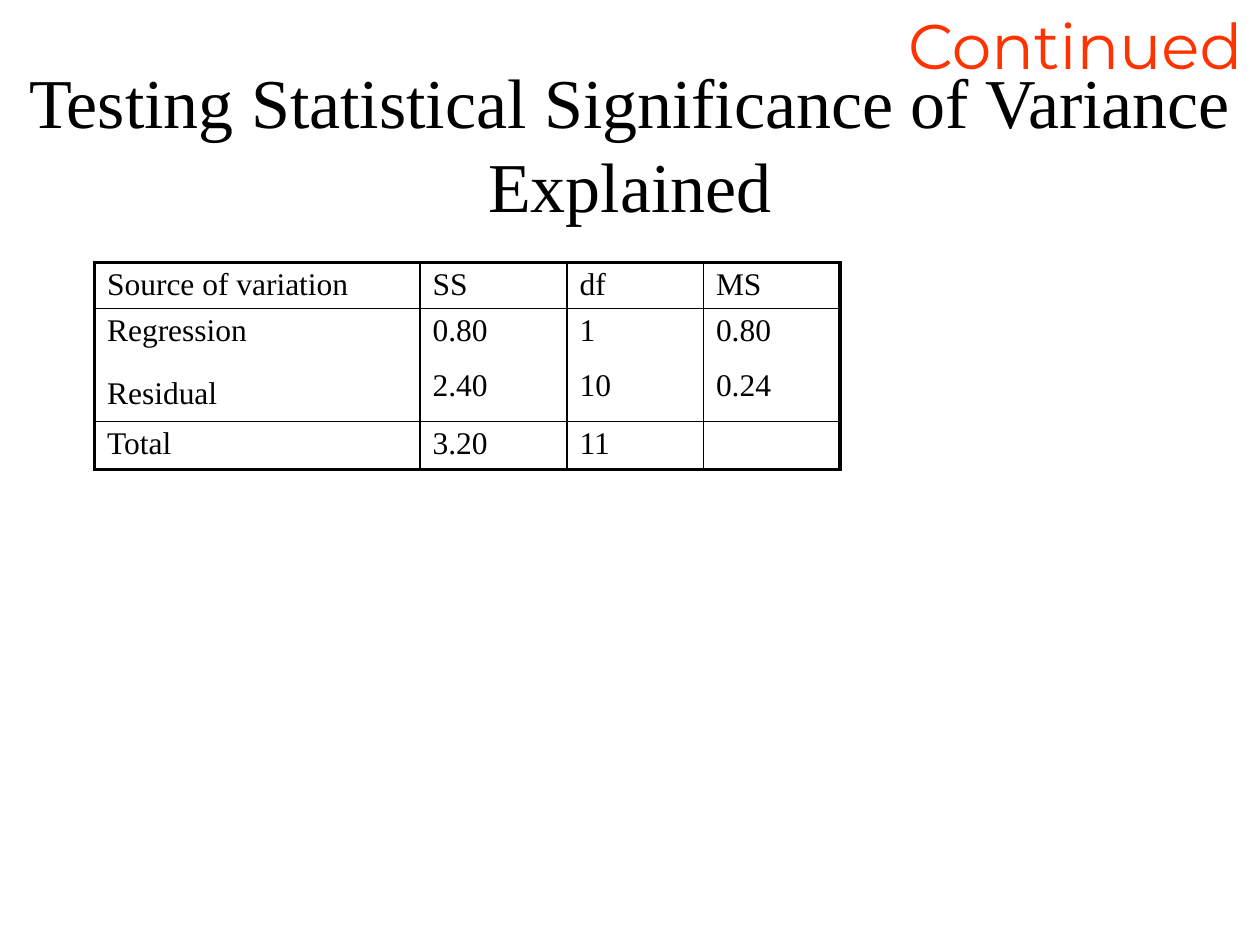
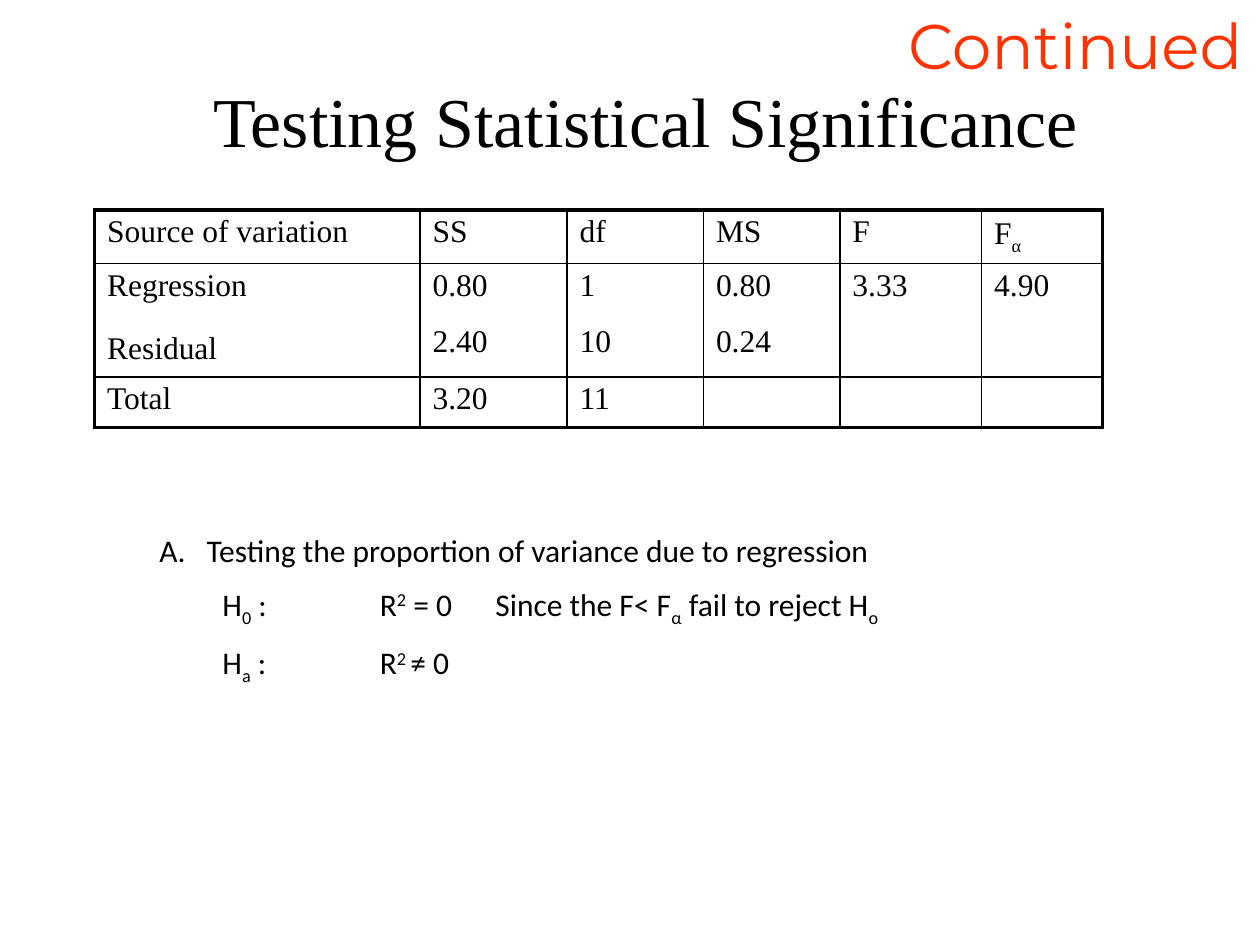
import pptx
import pptx.util
import pptx.dml.color
import pptx.enum.text
import pptx.oxml
import pptx.oxml.ns
from lxml import etree

# Shared look: a grid of 120 columns by 90 rows, inks and fonts
COLUMNS, ROWS = 120, 90
SLIDE_WIDTH, SLIDE_HEIGHT = pptx.util.Inches(10), pptx.util.Inches(7.5)
INK, ACCENT = "000000", "FF3300"
SERIF, SANS, DISPLAY = "Times New Roman", "Calibri", "Montserrat"
CENTER = pptx.enum.text.PP_ALIGN.CENTER
OUTER_LINE, INNER_LINE = 2.25, 1

# Table layout in grid units
COLUMN_WIDTHS = [31, 14, 13, 13, 13.5, 11.5]
ROW_HEIGHTS = [4.3, 6, 4.8, 4.4]
VARIANCE_HEAD = ["Source of variation", "SS", "df", "MS"]
VARIANCE_VALUES = [["0.80", "2.40"], ["1", "10"], ["0.80", "0.24"]]
TOTALS = ["Total", "3.20", "11"]


def color(hex_string):
    return pptx.dml.color.RGBColor.from_string(hex_string)


def across(columns):
    return int(SLIDE_WIDTH * columns / COLUMNS)


def down(rows):
    return int(SLIDE_HEIGHT * rows / ROWS)


def place(box):
    left, top, width, height = box
    return across(left), down(top), across(width), down(height)


def sub_element(parent, tag, **attributes):
    return etree.SubElement(parent, pptx.oxml.ns.qn(tag), **attributes)


def style(paragraph, font_name, size, ink=INK):
    paragraph.font.name = font_name
    paragraph.font.size = pptx.util.Pt(size)
    paragraph.font.color.rgb = color(ink)


def write(paragraph, pieces):
    """Pieces are strings, or (string, baseline shift) pairs."""
    for piece in pieces:
        text, shift = (piece, 0) if isinstance(piece, str) else piece
        run = paragraph.add_run()
        run.text = text
        if shift:
            run.font._element.set("baseline", str(shift * 1000))


def add_heading(slide, box, text, font_name, size, ink=INK):
    frame = slide.shapes.add_textbox(*place(box)).text_frame
    frame.word_wrap = True
    heading = frame.paragraphs[0]
    heading.text = text
    heading.alignment = CENTER
    style(heading, font_name, size, ink)
    return frame


def add_frame(slide, title, title_box):
    """Title and the marker that both slides carry."""
    title_frame = add_heading(slide, title_box, title, SERIF, 40)
    title_frame.vertical_anchor = pptx.enum.text.MSO_ANCHOR.MIDDLE
    marker_frame = add_heading(slide, (85.8, 0, 33.2, 19), "Continued",
                               DISPLAY, 36, ACCENT)
    marker_frame.word_wrap = False
    marker_frame.margin_left = marker_frame.margin_right = 0


def border_cell(cell, row, column, last_row, last_column):
    # Regression and Residual share one open cell, so no rule parts them
    widths = {
        "a:lnL": OUTER_LINE if column == 0 else INNER_LINE,
        "a:lnR": OUTER_LINE if column == last_column else INNER_LINE,
        "a:lnT": {0: OUTER_LINE, 2: 0}.get(row, INNER_LINE),
        "a:lnB": OUTER_LINE if row == last_row else INNER_LINE,
    }
    if (row, column) == (1, 0):
        widths["a:lnB"] = 0
    properties = cell._tc.get_or_add_tcPr()
    for tag, width in widths.items():
        line = sub_element(properties, tag, w=str(pptx.util.Pt(width)))
        if width:
            sub_element(sub_element(line, "a:solidFill"), "a:srgbClr", val=INK)
        else:
            sub_element(line, "a:noFill")


def add_variance_table(slide, left, top, head, values):
    widths = COLUMN_WIDTHS[:len(head)]
    box = (left, top, sum(widths), sum(ROW_HEIGHTS))
    table = slide.shapes.add_table(len(ROW_HEIGHTS), len(head), *place(box)).table
    table.first_row = table.horz_banding = False
    for column, width in zip(table.columns, widths):
        column.width = across(width)
    for row, height in zip(table.rows, ROW_HEIGHTS):
        row.height = down(height)

    # Borders and fills
    for row in range(len(ROW_HEIGHTS)):
        for column in range(len(head)):
            cell = table.cell(row, column)
            border_cell(cell, row, column, len(ROW_HEIGHTS) - 1, len(head) - 1)
            cell.fill.background()

    # Text: each entry is a list of paragraphs, an empty one for a blank total
    entries = {(0, column): [label] for column, label in enumerate(head)}
    entries.update({(1, 0): ["Regression"], (2, 0): ["Residual"]})
    entries.update({(3, column): [[]] for column in range(len(head))})
    entries.update({(3, column): [total] for column, total in enumerate(TOTALS)})
    for column, pair in enumerate(values, 1):
        table.cell(1, column).merge(table.cell(2, column))
        entries[1, column] = pair
    for position, lines in entries.items():
        frame = table.cell(*position).text_frame
        for index, line in enumerate(lines):
            paragraph = frame.add_paragraph() if index else frame.paragraphs[0]
            paragraph.line_spacing = 0.95
            if index:
                paragraph.space_before = pptx.util.Pt(13)
            write(paragraph, [line] if isinstance(line, str) else line)
            style(paragraph, SERIF, 18)


def add_hypotheses(slide, box):
    frame = slide.shapes.add_textbox(*place(box)).text_frame
    frame.word_wrap = True
    lines = [
        ["Testing the proportion of variance due to regression"],
        ["\tH", ("0", -25), " :\tR", ("2", 30), " = 0\tSince the F< F", ("α", -25),
         " fail to reject H", ("o", -25)],
        ["\tH", ("a", -25), " :\tR", ("2 ", 30), "≠ 0"],
    ]
    for index, pieces in enumerate(lines):
        paragraph = frame.add_paragraph() if index else frame.paragraphs[0]
        properties = paragraph._p.get_or_add_pPr()
        if index:
            # Tab stops for the symbol, the equation and the conclusion
            paragraph.space_before = pptx.util.Pt(9)
            stops = sub_element(properties, "a:tabLst")
            for stop in (6, 21, 32):
                sub_element(stops, "a:tab", pos=str(across(stop)), algn="l")
        else:
            properties.set("marL", str(across(4.5)))
            properties.set("indent", str(-across(4.5)))
            sub_element(properties, "a:buFont", typeface=SANS)
            sub_element(properties, "a:buAutoNum", type="alphaUcPeriod")
        write(paragraph, pieces)
        style(paragraph, SANS, 18)


def build_variance_slide(slide):
    add_variance_table(slide, 9, 25, VARIANCE_HEAD, VARIANCE_VALUES)
    add_frame(slide, "Testing Statistical Significance of Variance Explained",
              (0, 10.3, 120, 6.6))


def build_significance_slide(slide):
    head = VARIANCE_HEAD + ["F", ["F", ("α", -25)]]
    add_variance_table(slide, 9, 20, head, VARIANCE_VALUES + [["3.33"], ["4.90"]])
    add_hypotheses(slide, (14, 50, 94, 17.4))
    add_frame(slide, "Testing Statistical Significance", (7, 8.1, 109, 6.6))


def main():
    deck = pptx.Presentation()
    deck.slide_width, deck.slide_height = SLIDE_WIDTH, SLIDE_HEIGHT
    for build in (build_variance_slide, build_significance_slide):
        build(deck.slides.add_slide(deck.slide_layouts[6]))
    deck.save("out.pptx")


if __name__ == "__main__":
    main()
